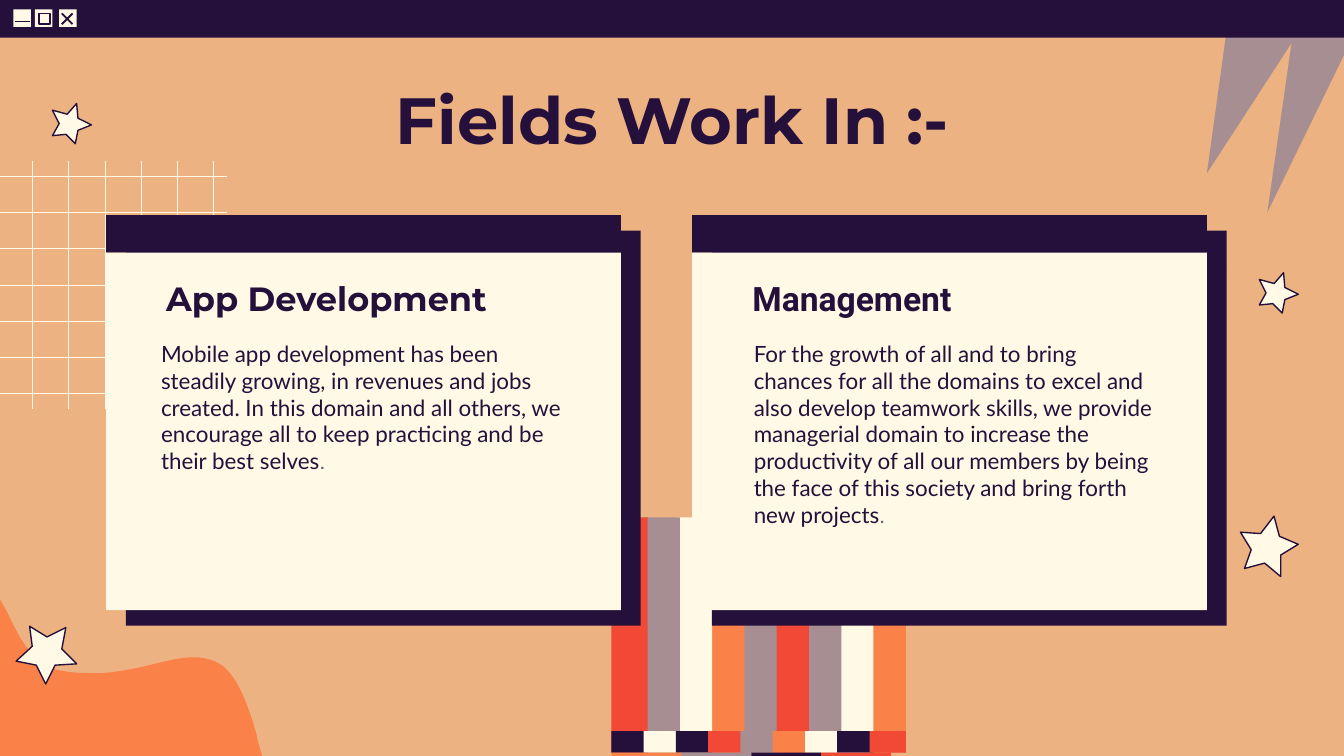
from lxml import etree
from pptx import Presentation
from pptx.dml.color import RGBColor
from pptx.enum.shapes import MSO_CONNECTOR, MSO_SHAPE
from pptx.enum.text import MSO_ANCHOR, PP_ALIGN
from pptx.oxml.ns import qn
from pptx.util import Inches, Pt

RECTANGLE = MSO_SHAPE.RECTANGLE
STRAIGHT = MSO_CONNECTOR.STRAIGHT
TOP = MSO_ANCHOR.TOP
LEFT, CENTER = PP_ALIGN.LEFT, PP_ALIGN.CENTER

COLORS = {
    "sand": "ECB281",
    "navy": "25103B",
    "cream": "FFF9E5",
    "mauve": "A78E92",
    "orange": "FA8147",
    "red": "F14936",
    "gray": "5F6368",
}
WIDTH = 10
HEIGHT = WIDTH * 9 / 16

ZIGZAG = [(9.15, 0.06), (10, 0.06), (10, 0.41), (9.43, 1.58), (9.61, 0.32), (8.98, 1.29)]

WAVE_START = (0.04, 4.53)
WAVE_CURVES = [
    [(0.13, 4.71), (0.21, 4.91), (0.41, 4.98)],
    [(0.52, 5.01), (0.64, 5.01), (0.75, 5.01)],
    [(0.87, 5), (0.99, 4.98), (1.11, 4.95)],
    [(1.28, 4.91), (1.49, 4.84), (1.65, 4.95)],
    [(1.73, 5.01), (1.78, 5.11), (1.82, 5.2)],
    [(1.86, 5.31), (1.9, 5.41), (1.92, 5.52)],
]

SMALL_STAR = [(0.18, 0), (0.19, 0.11), (0.29, 0.16), (0.19, 0.2), (0.17, 0.3),
              (0.1, 0.23), (0, 0.24), (0.05, 0.15), (0, 0.05), (0.11, 0.08)]
RIGHT_STAR = [(9.48, 3.84), (9.38, 3.97), (9.23, 3.96), (9.31, 4.09), (9.26, 4.23),
              (9.41, 4.19), (9.53, 4.29), (9.53, 4.13), (9.66, 4.05), (9.52, 3.99)]
LEFT_STAR = [(0.22, 4.66), (0.24, 4.81), (0.12, 4.92), (0.27, 4.95), (0.34, 5.09),
             (0.41, 4.95), (0.57, 4.94), (0.46, 4.83), (0.49, 4.67), (0.35, 4.74)]

TALL_STRIPES = ["red", "mauve", "cream", "orange", "mauve", "red", "mauve", "cream", "orange"]
SHORT_STRIPES = ["navy", "cream", "navy", "red", "mauve", "orange", "cream", "navy", "red"]
BASE_STRIPES = ["orange", "mauve", "navy", "red"]

APP_TEXT = (
    "Mobile app development has been steadily growing, in revenues and jobs created. "
    "In this domain and all others, we encourage all to keep practicing and be their best selves"
)
MANAGEMENT_TEXT = (
    "For the growth of all and to bring chances for all the domains to excel and also develop "
    "teamwork skills, we provide managerial domain to increase the productivity of all our "
    "members by being the face of this society and bring forth new projects"
)


def color(name):
    return RGBColor.from_string(COLORS[name])


def curve_points(start, curves, steps=12):
    points = [start]
    for first, second, end in curves:
        begin = points[-1]
        for step in range(1, steps + 1):
            t = step / steps
            u = 1 - t
            points.append(tuple(
                u**3 * a + 3 * u * u * t * b + 3 * u * t * t * c + t**3 * d
                for a, b, c, d in zip(begin, first, second, end)
            ))
    return points


class SlideBuilder:
    def __init__(self, slide):
        self.slide = slide
        self.shapes = slide.shapes
        slide.background.fill.solid()
        slide.background.fill.fore_color.rgb = color("sand")

    def style(self, shape, fill, line, weight):
        shape.shadow.inherit = False
        if fill:
            shape.fill.solid()
            shape.fill.fore_color.rgb = color(fill)
        else:
            shape.fill.background()
        if line:
            shape.line.color.rgb = color(line)
            shape.line.width = Pt(weight)
        else:
            shape.line.fill.background()

    def rectangle(self, left, top, width, height, fill=None, line=None, weight=0.75):
        shape = self.shapes.add_shape(
            RECTANGLE, Inches(left), Inches(top), Inches(width), Inches(height))
        self.style(shape, fill, line, weight)
        return shape

    def polygon(self, points, fill, line=None, weight=0.75):
        corners = [(Inches(x), Inches(y)) for x, y in points]
        builder = self.shapes.build_freeform(*corners[0])
        builder.add_line_segments(corners[1:], close=True)
        self.style(builder.convert_to_shape(), fill, line, weight)

    def line(self, x1, y1, x2, y2, name, weight):
        connector = self.shapes.add_connector(
            STRAIGHT, Inches(x1), Inches(y1), Inches(x2), Inches(y2))
        connector.line.color.rgb = color(name)
        connector.line.width = Pt(weight)
        etree.SubElement(connector._element.spPr, qn("a:effectLst"))

    def shadowed_rectangle(self, left, top, width, height, fill):
        shape = self.rectangle(left, top, width, height, fill)
        effects = shape._element.spPr.find(qn("a:effectLst"))
        shadow = etree.SubElement(
            effects, qn("a:outerShdw"), blurRad="0", dist=str(Pt(13.5)),
            dir=str(38 * 60000), algn="bl", rotWithShape="0")
        etree.SubElement(shadow, qn("a:srgbClr"), val=COLORS["navy"])

    def card(self, left):
        self.shadowed_rectangle(left, 1.6, 3.83, 0.28, "navy")
        self.shadowed_rectangle(left, 1.88, 3.83, 2.66, "cream")

    def text(self, left, top, width, height, runs, align=LEFT):
        box = self.shapes.add_textbox(Inches(left), Inches(top), Inches(width), Inches(height))
        frame = box.text_frame
        frame.word_wrap = True
        frame.vertical_anchor = TOP
        frame.margin_left = frame.margin_right = Inches(0.1)
        frame.margin_top = frame.margin_bottom = Inches(0.1)
        paragraph = frame.paragraphs[0]
        paragraph.alignment = align
        for content, font, size, name, bold in runs:
            run = paragraph.add_run()
            run.text = content
            run.font.name = font
            run.font.size = Pt(size)
            run.font.color.rgb = color(name)
            run.font.bold = bold

    def heading(self, left, top, width, height, content, font, size):
        self.text(left, top, width, height, [(content, font, size, "navy", True)], CENTER)

    def body(self, left, content):
        self.text(left, 2.43, 3.22, 2.44, [
            (content, "Lato", 12, "navy", False),
            (".", "Roboto", 12, "gray", False),
        ])


def main():
    presentation = Presentation()
    presentation.slide_width = Inches(WIDTH)
    presentation.slide_height = Inches(HEIGHT)
    builder = SlideBuilder(presentation.slides.add_slide(presentation.slide_layouts[6]))

    builder.polygon(ZIGZAG, "mauve")
    wave = curve_points(WAVE_START, WAVE_CURVES)
    builder.polygon([(0, 4.46), *wave, (1.95, HEIGHT), (0, HEIGHT)], "orange")

    for column in range(6):
        x = 0.24 + 0.27 * column
        builder.line(x, 1.2, x, 3.04, "cream", 0.3)
    for row in range(7):
        y = 1.31 + 0.27 * row
        builder.line(0, y, 1.69, y, "cream", 0.3)

    for index, name in reversed(list(enumerate(TALL_STRIPES))):
        builder.rectangle(4.55 + 0.24 * index, 3.85, 0.27, 1.75, name)
    for index, name in enumerate(SHORT_STRIPES):
        builder.rectangle(4.55 + 0.24 * index, 5.44, 0.27, 0.16, name)
    for index, name in enumerate(BASE_STRIPES):
        builder.rectangle(4.55 + 0.52 * index, 5.6, 0.52, HEIGHT - 5.6, name)

    builder.rectangle(0, 0, WIDTH, 0.28, "navy")
    for left in (0.1, 0.26, 0.44):
        builder.rectangle(left, 0.07, 0.13, 0.13, "cream")
    builder.line(0.11, 0.16, 0.22, 0.16, "navy", 1)
    builder.rectangle(0.29, 0.1, 0.08, 0.08, line="navy", weight=1)
    builder.line(0.46, 0.1, 0.54, 0.18, "navy", 1)
    builder.line(0.46, 0.18, 0.54, 0.1, "navy", 1)

    small_stars = [
        [(left + x, top + y) for x, y in SMALL_STAR]
        for left, top in ((0.39, 0.77), (9.37, 2.03))
    ]
    for star in (RIGHT_STAR, LEFT_STAR, *small_stars):
        builder.polygon(star, "cream", "navy")

    for left in (5.15, 0.79):
        builder.card(left)

    builder.heading(0.79, 0.49, 8.43, 0.63, "Fields Work In :-", "Montserrat", 35)
    builder.body(5.51, MANAGEMENT_TEXT)
    builder.body(1.1, APP_TEXT)
    builder.heading(0.55, 1.97, 3.76, 0.54, "App Development", "Montserrat", 18)
    builder.heading(4.46, 1.97, 3.76, 0.54, "Management", "Roboto", 18)

    presentation.save("out.pptx")


if __name__ == "__main__":
    main()
